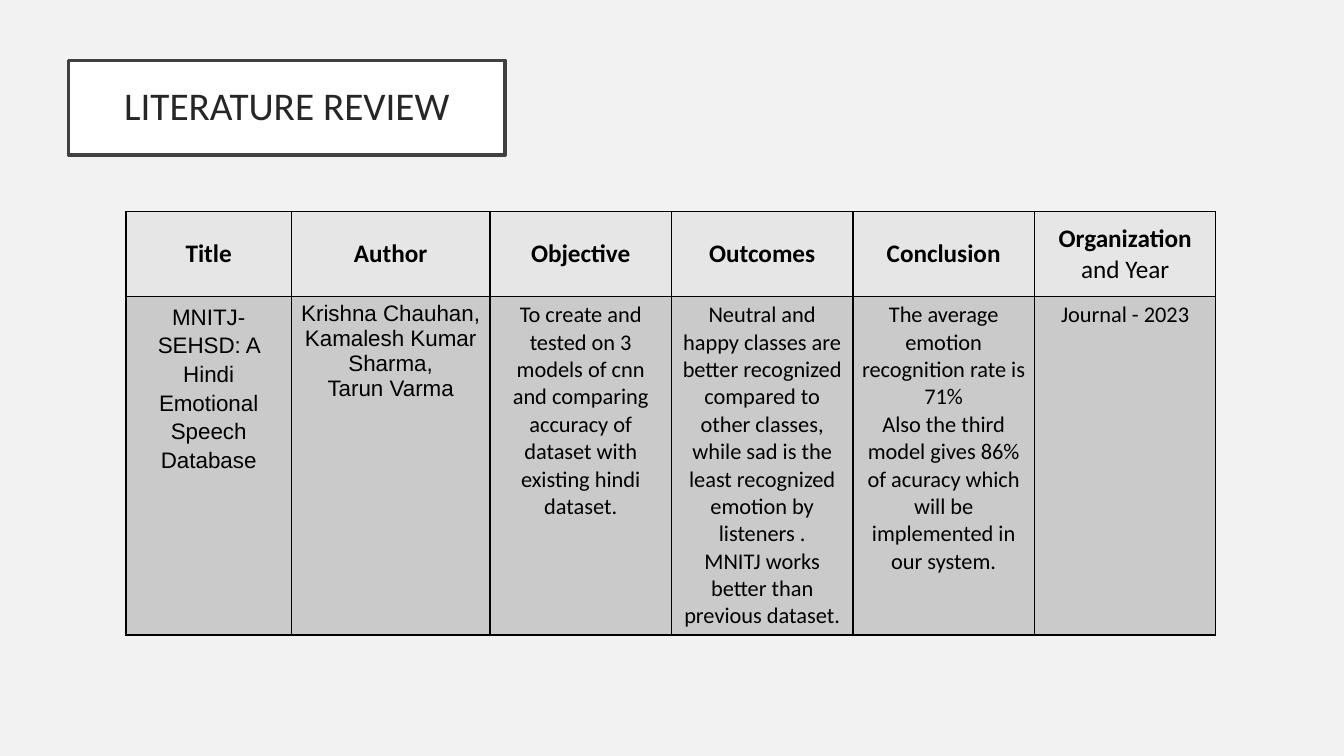
from dataclasses import dataclass

from lxml.etree import SubElement
from pptx import Presentation
from pptx.dml.color import RGBColor as RGB
from pptx.enum.text import MSO_ANCHOR as Anchor, MSO_AUTO_SIZE as Fit, PP_ALIGN as Align
from pptx.oxml.ns import qn
from pptx.util import Inches, Pt


@dataclass(frozen=True)
class Theme:
    back: str = "F2F2F2"
    white: str = "FFFFFF"
    frame: str = "404040"
    title: str = "262626"
    ink: str = "000000"
    head: str = "E6E6E6"
    body: str = "CACACA"
    sans: str = "Calibri"
    alt: str = "Arial"
    big: int = 28
    mid: int = 18
    small: int = 16


T = Theme()
COLS = [1.64, 1.97, 1.8, 1.8, 1.8, 1.8]
ROWS = [0.84, 3.36]
# Each heading: bold part, plain part
HEADS = [("Title", ""), ("Author", ""), ("Objective", ""), ("Outcomes", ""),
         ("Conclusion", ""), ("Organization", " and Year")]
# Each entry: font, line spacing, paragraphs
PAPER = [
    (T.alt, 1.15, ["MNITJ-SEHSD: A Hindi Emotional Speech Database"]),
    (T.alt, 1.0, ["Krishna Chauhan, Kamalesh Kumar Sharma,", "Tarun Varma"]),
    (T.sans, 1.0, ["To create and tested on 3 models of cnn and comparing "
                   "accuracy of dataset with existing hindi dataset."]),
    (T.sans, 1.0, ["Neutral and happy classes are",
                   "better recognized compared to other classes, while sad is the",
                   "least recognized emotion by listeners .",
                   "MNITJ works better than previous dataset."]),
    (T.sans, 1.0, ["The average emotion recognition rate is 71%",
                   "Also the third model gives 86% of acuracy which will be "
                   "implemented in our system."]),
    (T.sans, 1.0, ["Journal - 2023"]),
]


def paint(fill, color):
    fill.solid()
    fill.fore_color.rgb = RGB.from_string(color)


def style(para, font, size, color, space=1.0):
    para.alignment = Align.CENTER
    para.line_spacing = space
    para.font.name = font
    para.font.size = Pt(size)
    para.font.color.rgb = RGB.from_string(color)


def edge(cell):
    """Draw a thin border on all four sides, ahead of the cell's fill."""
    props = cell._tc.get_or_add_tcPr()
    for i, side in enumerate(("a:lnL", "a:lnR", "a:lnT", "a:lnB")):
        line = SubElement(props, qn(side), w=str(Pt(1)))
        fill = SubElement(line, qn("a:solidFill"))
        SubElement(fill, qn("a:srgbClr"), val=T.ink)
        props.insert(i, line)


def dress(cell, color, side):
    paint(cell.fill, color)
    edge(cell)
    cell.margin_left = cell.margin_right = Inches(side)
    cell.margin_top = cell.margin_bottom = Inches(0.05)


def add_title(slide, x, y, w, h):
    box = slide.shapes.title
    box.left, box.top, box.width, box.height = map(Inches, (x, y, w, h))
    paint(box.fill, T.white)
    box.line.color.rgb = RGB.from_string(T.frame)
    box.line.width = Pt(2.5)
    frame = box.text_frame
    frame.text = "LITERATURE REVIEW"
    frame.word_wrap = True
    frame.auto_size = Fit.NONE
    frame.vertical_anchor = Anchor.MIDDLE
    frame.margin_left = frame.margin_right = Inches(0.2)
    frame.margin_top = frame.margin_bottom = Inches(0.2)
    style(frame.paragraphs[0], T.sans, T.big, T.title, 0.9)


def add_review(slide, x, y):
    size = map(Inches, (x, y, sum(COLS), sum(ROWS)))
    table = slide.shapes.add_table(len(ROWS), len(COLS), *size).table
    for col, w in zip(table.columns, COLS):
        col.width = Inches(w)
    for row, h in zip(table.rows, ROWS):
        row.height = Inches(h)

    # Headings
    for cell, (bold, plain) in zip(table.rows[0].cells, HEADS):
        dress(cell, T.head, 0.1)
        cell.vertical_anchor = Anchor.MIDDLE
        para = cell.text_frame.paragraphs[0]
        for text, heavy in ((bold, True), (plain, False)):
            if text:
                run = para.add_run()
                run.text = text
                run.font.bold = heavy
        style(para, T.sans, T.mid, T.ink)

    # Reviewed paper
    for cell, (font, space, lines) in zip(table.rows[1].cells, PAPER):
        dress(cell, T.body, 0.08)
        cell.text = "\n".join(lines)
        for para in cell.text_frame.paragraphs:
            style(para, font, T.small, T.ink, space)


def main():
    deck = Presentation()
    deck.slide_width, deck.slide_height = Inches(13.33), Inches(7.5)
    slide = deck.slides.add_slide(deck.slide_layouts.get_by_name("Title Only"))
    paint(slide.background.fill, T.back)
    add_title(slide, 0.68, 0.6, 4.33, 0.94)
    add_review(slide, 1.25, 2.1)
    deck.save("out.pptx")


if __name__ == "__main__":
    main()
